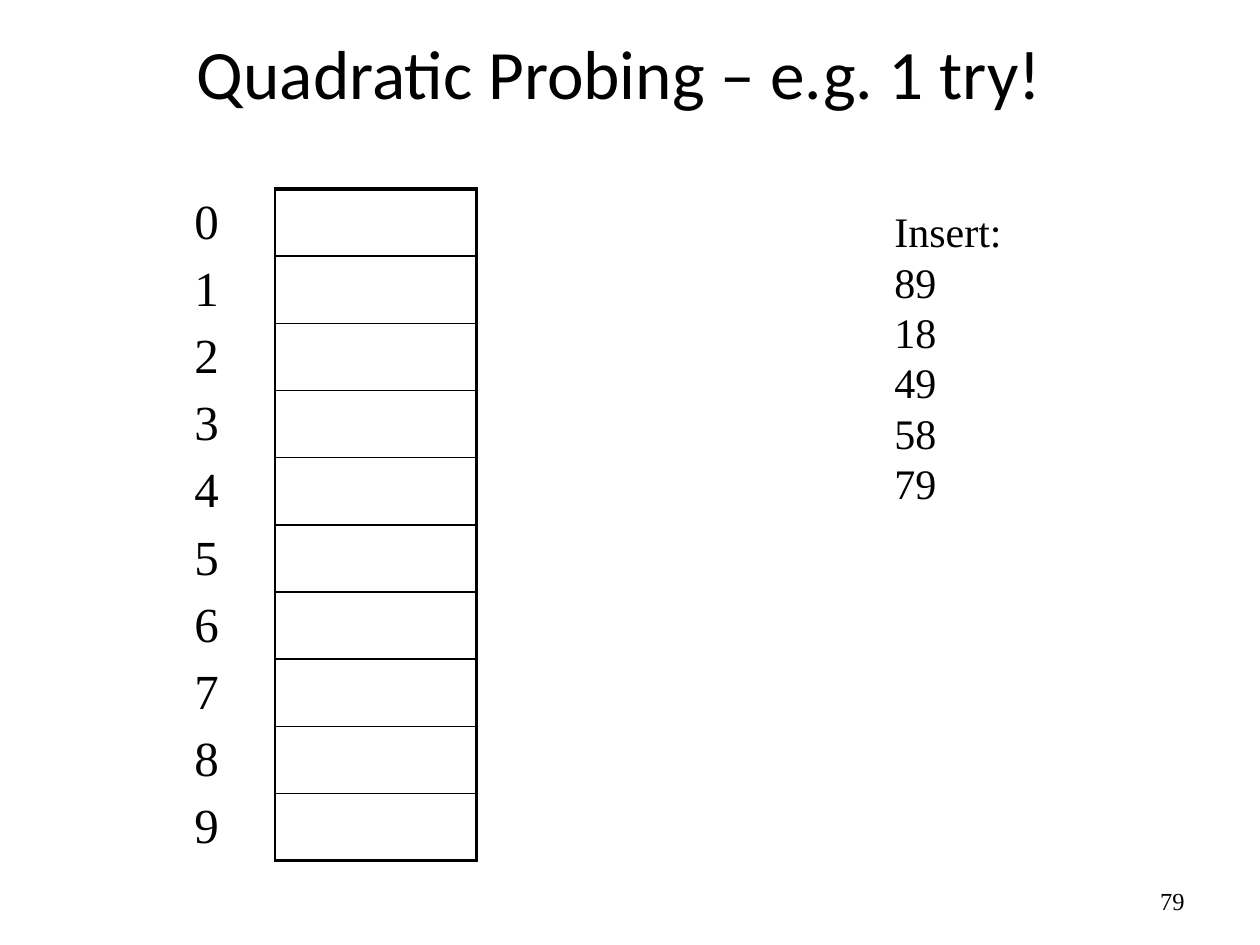
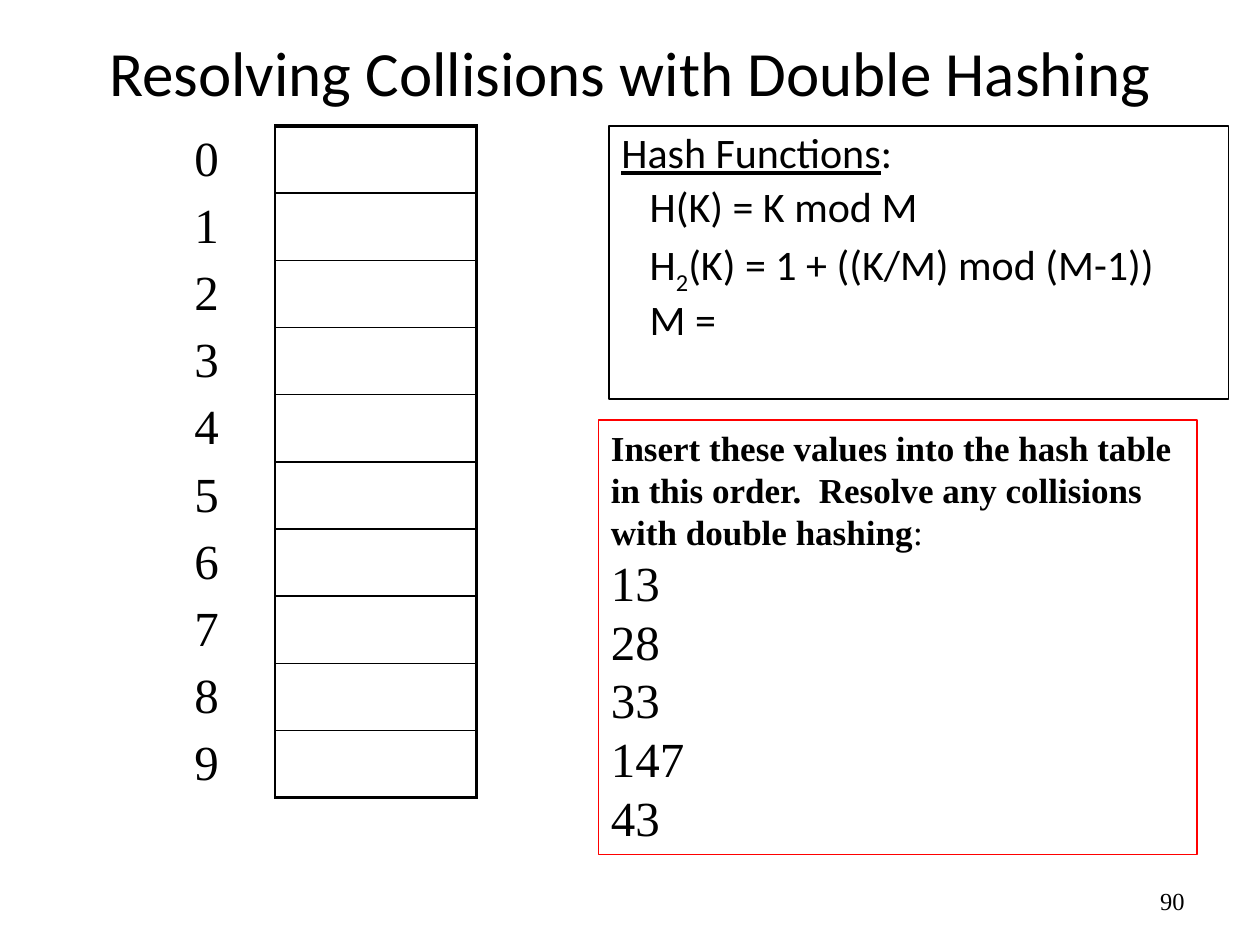
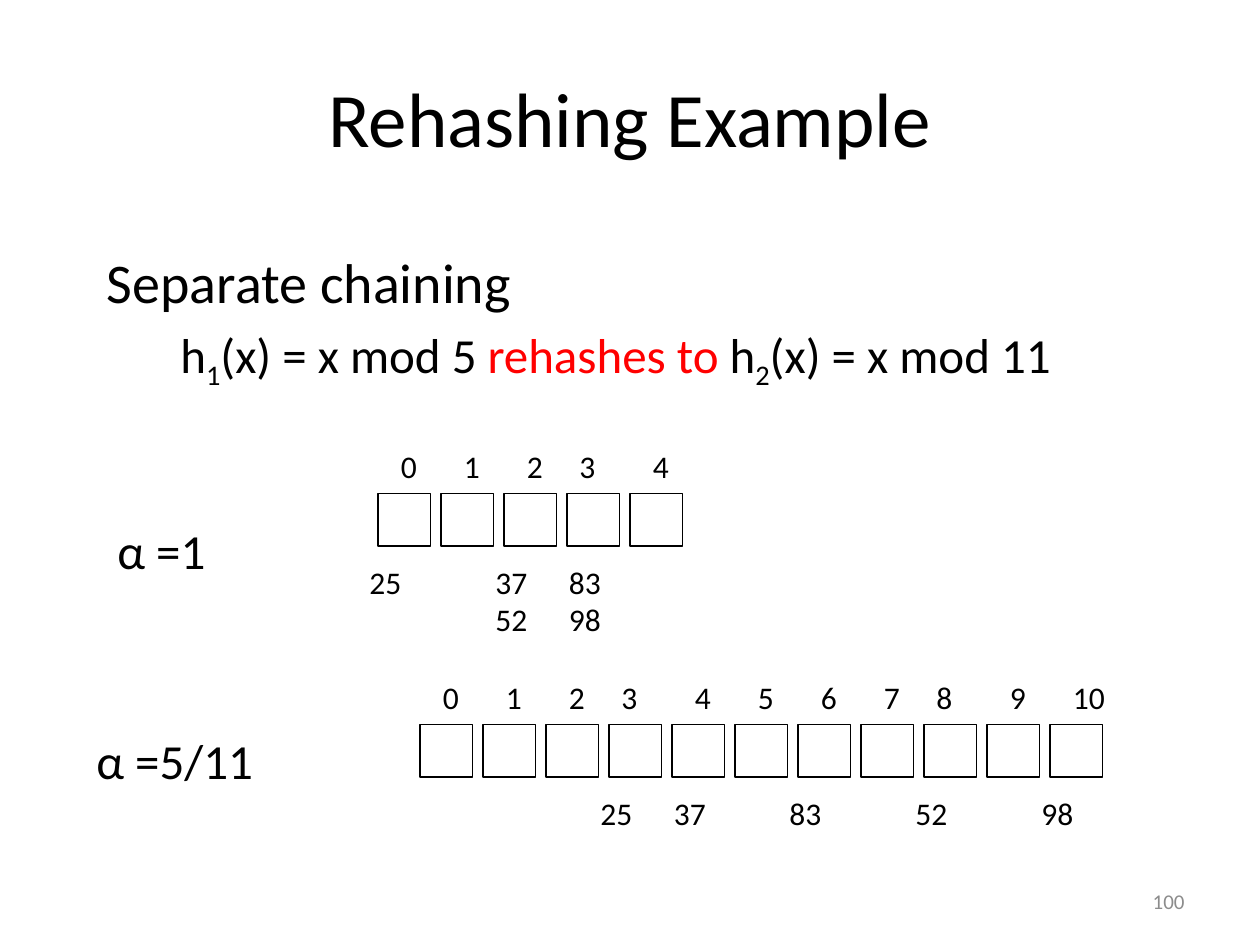
from lxml import etree
from pptx import Presentation
from pptx import util as u
from pptx.dml.color import RGBColor
from pptx.enum import shapes, text
from pptx.oxml import ns

PX = 7620
COLORS = {"ink": "000000", "red": "FF0000", "gray": "8C8C8C"}
SANS = "Calibri"
SERIF = "Times New Roman"
ALIGN = text.PP_ALIGN
ANCHOR = text.MSO_ANCHOR


def px(*values):
    return [u.Emu(v * PX) for v in values]


def rgb(name):
    return RGBColor.from_string(COLORS[name])


def format_run(r, size, font, color="ink", bold=False, underline=False, subscript=False):
    r.font.size = u.Pt(size)
    r.font.name = font
    r.font.color.rgb = rgb(color)
    r.font.bold = bold
    r.font.underline = underline
    if subscript:
        r._r.get_or_add_rPr().set("baseline", "-25000")


def write_paragraph(p, runs, size, font, align=ALIGN.LEFT, before=0, spacing=None, indent=0):
    p.alignment = align
    p.space_before = u.Pt(before)
    if spacing:
        p.line_spacing = spacing
    if indent:
        p._p.get_or_add_pPr().set("marL", str(indent * PX))
    for content, style in runs:
        r = p.add_run()
        r.text = content
        format_run(r, size, font, **style)


def next_paragraph(tf):
    first = tf.paragraphs[0]
    return tf.add_paragraph() if first.runs else first


def add_label(s, box, content, size, font=SANS, color="ink", align=ALIGN.LEFT, anchor=ANCHOR.TOP):
    tf = s.shapes.add_textbox(*px(*box)).text_frame
    tf.word_wrap = True
    tf.vertical_anchor = anchor
    tf.text = content
    for p in tf.paragraphs:
        p.alignment = align
        for r in p.runs:
            format_run(r, size, font, color)


def add_box(s, box, color="ink", width=0.75):
    sp = s.shapes.add_shape(shapes.MSO_SHAPE.RECTANGLE, *px(*box))
    sp.shadow.inherit = False
    sp.fill.background()
    sp.line.color.rgb = rgb(color)
    sp.line.width = u.Pt(width)
    tf = sp.text_frame
    tf.word_wrap = True
    tf.vertical_anchor = ANCHOR.TOP
    return tf


def add_slide(prs, title, box, size, number, number_size=14, number_font=SERIF, number_color="ink"):
    s = prs.slides.add_slide(prs.slide_layouts[5])
    sp = s.shapes.title
    sp.left, sp.top, sp.width, sp.height = px(*box)
    tf = sp.text_frame
    tf.text = title
    tf.auto_size = text.MSO_AUTO_SIZE.NONE
    tf.vertical_anchor = ANCHOR.MIDDLE
    tf.paragraphs[0].alignment = ALIGN.CENTER
    format_run(tf.paragraphs[0].runs[0], size, SANS)
    add_label(s, (860, 834, 280, 48), number, number_size, number_font, number_color,
              ALIGN.RIGHT, ANCHOR.MIDDLE)
    return s


def set_borders(cell, **widths):
    tcPr = cell._tc.get_or_add_tcPr()
    sides = [side for side in "LRTB" if side in widths]
    for i, side in enumerate(sides):
        ln = etree.Element(ns.qn(f"a:ln{side}"), w=str(u.Pt(widths[side])))
        fill = etree.SubElement(ln, ns.qn("a:solidFill"))
        etree.SubElement(fill, ns.qn("a:srgbClr"), val=COLORS["ink"])
        tcPr.insert(i, ln)


def add_hash_table(s, top, slots=10, row_height=64):
    frame = s.shapes.add_table(slots, 2, *px(173, top, 281, slots * row_height))
    table = frame.table
    table.first_row = table.horz_banding = False
    for column, width in zip(table.columns, px(89, 192)):
        column.width = width
    for i in range(slots):
        index, slot = table.cell(i, 0), table.cell(i, 1)
        for cell in (index, slot):
            cell.fill.background()
            cell.margin_top = cell.margin_bottom = 0
            cell.vertical_anchor = ANCHOR.MIDDLE
        index.text_frame.text = str(i)
        format_run(index.text_frame.paragraphs[0].runs[0], 28, SERIF)
        set_borders(index, R=1)
        set_borders(slot, L=1, R=2.25, T=2.25 if i == 0 else 1,
                    B=2.25 if i == slots - 1 else 1)


def add_buckets(s, left, top, count, chains):
    for i in range(count):
        x = left + 60 * i
        add_box(s, (x, top, 50, 50), width=1)
        label_x = x if i % 5 == 3 else x + 10
        add_label(s, (label_x, top - 50, 40 if i < 10 else 70, 48), str(i), 18)
    for x, keys in chains:
        add_label(s, (x, top + 60, 90, 48 if len(keys) == 1 else 84), "\v".join(keys), 18)


def quadratic_probing(prs):
    s = add_slide(prs, "Quadratic Probing – e.g. 1 try!", (80, 23, 1020, 90), 39.6, "79")
    add_hash_table(s, 180)
    add_label(s, (840, 190, 184, 300), "Insert:\n89\n18\n49\n58\n79", 24, SERIF)


def double_hashing(prs):
    s = add_slide(prs, "Resolving Collisions with Double Hashing", (20, 23, 1160, 90), 36, "90")
    add_hash_table(s, 120)

    tf = add_box(s, (570, 400, 570, 414), "red")
    task = ("Insert these values into the hash table in this order.  "
            "Resolve any collisions with double hashing")
    write_paragraph(next_paragraph(tf), [(task, {"bold": True}), (":", {})], 20, SERIF)
    for key in ("13", "28", "33", "147", "43"):
        write_paragraph(next_paragraph(tf), [(key, {})], 28, SERIF)

    tf = add_box(s, (580, 120, 590, 260))
    write_paragraph(next_paragraph(tf), [("Hash Functions", {"underline": True}), (":", {})],
                    24, SANS, spacing=0.9)
    formulas = (
        [("H(K) = K mod M", {})],
        [("H", {}), ("2", {"subscript": True}), ("(K) = 1 + ((K/M) mod (M-1))", {})],
        [("M =", {})],
    )
    for runs in formulas:
        write_paragraph(next_paragraph(tf), runs, 24, SANS, before=4.8, spacing=0.9, indent=27)


def rehashing(prs):
    s = add_slide(prs, "Rehashing Example", (60, 36, 1080, 150), 44, "100", 12, SANS, "gray")
    tf = s.shapes.add_textbox(*px(90, 230, 1020, 190)).text_frame
    tf.word_wrap = True
    write_paragraph(next_paragraph(tf), [("Separate chaining", {})], 32, SANS)
    rule = [("h", {}), ("1", {"subscript": True}), ("(x) = x mod 5 ", {}),
            ("rehashes to", {"color": "red"}),
            (" h", {}), ("2", {"subscript": True}), ("(x) = x mod 11", {})]
    write_paragraph(next_paragraph(tf), rule, 28, SANS, before=5.6, indent=70)

    add_label(s, (100, 490, 140, 68), "α =1", 28)
    add_buckets(s, 360, 470, 5, [(340, ["25"]), (460, ["37", "52"]), (530, ["83", "98"])])
    add_label(s, (80, 690, 200, 68), "α =5/11", 28)
    add_buckets(s, 400, 690, 11, [(560, ["25"]), (630, ["37"]), (740, ["83"]),
                                  (860, ["52"]), (980, ["98"])])


def main():
    prs = Presentation()
    prs.slide_width, prs.slide_height = px(1200, 900)
    quadratic_probing(prs)
    double_hashing(prs)
    rehashing(prs)
    prs.save("out.pptx")


if __name__ == "__main__":
    main()
